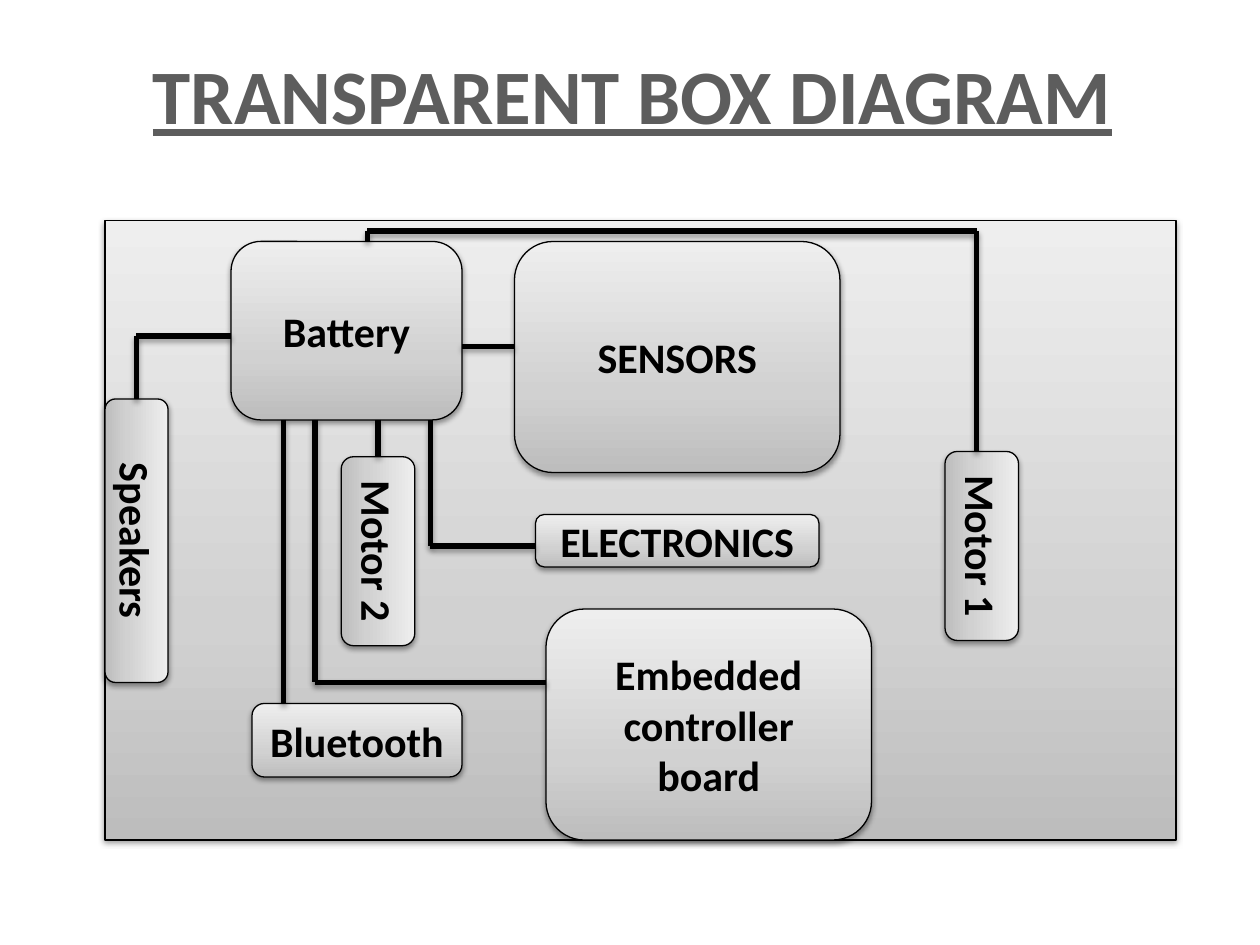
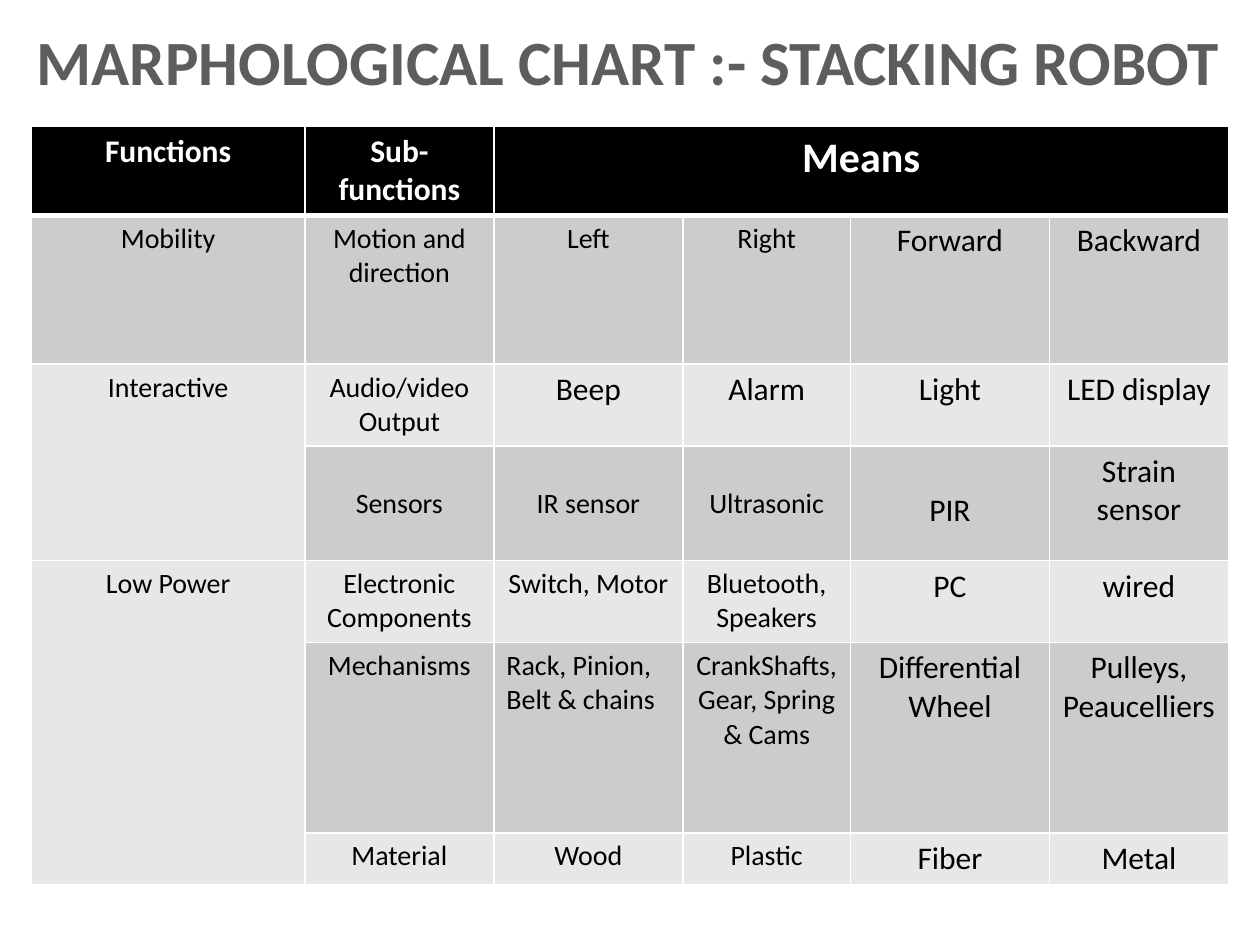
from pptx import Presentation
from pptx.dml.color import RGBColor
from pptx.enum.shapes import MSO_CONNECTOR, MSO_SHAPE
from pptx.enum.text import MSO_ANCHOR, PP_ALIGN
from pptx.oxml import parse_xml
from pptx.oxml.ns import nsdecls
from pptx.util import Cm, Pt

STRAIGHT = MSO_CONNECTOR.STRAIGHT
FRAME, ROUND = MSO_SHAPE.FLOWCHART_PROCESS, MSO_SHAPE.ROUNDED_RECTANGLE
MIDDLE, TOP = MSO_ANCHOR.MIDDLE, MSO_ANCHOR.TOP
CENTER, LEFT = PP_ALIGN.CENTER, PP_ALIGN.LEFT

INCH = 2.54
TICK = INCH / 12  # the diagram sits on a grid of twelfths of an inch
FONT = "Calibri"
HUES = {
    "title": "5D5D5D", "ink": "000000", "paper": "FFFFFF",
    "low": "BDBDBD", "mid": "D1D1D1", "high": "EEEEEE",
    "odd": "CCCCCC", "even": "E7E7E7",
}

# name: left, top, width, height, turn (ticks, before the turn)
PARTS = {
    "Motor 1": (84.5, 48.5, 18, 7, 90),
    "SENSORS": (49, 23, 31, 22, 0),
    "ELECTRONICS": (51, 49, 27, 5, 0),
    "Battery": (22, 23, 22, 17, 0),
    "Speakers": (-0.5, 48.5, 27, 6, 90),
    "Motor 2": (27, 49, 18, 7, 90),
    "Embedded controller board": (52, 58, 31, 22, 0),
    "Bluetooth": (24, 67, 20, 7, 0),
}

# corner points of each wire, from the battery to its part
WIRES = [
    [(41, 40), (41, 52), (51, 52)],
    [(22, 32), (13, 32), (13, 38)],
    [(36, 40), (36, 43.5)],
    [(27, 40), (27, 67)],
    [(44, 33), (49, 33)],
    [(30, 40), (30, 65), (52, 65)],
    [(35, 23), (35, 22), (93, 22), (93, 43)],
]

COLS = [2.17, 1.5, 1.5, 1.33, 1.58, 1.42]
ROWS = [0.7, 1.18, 0.65, 0.91, 0.65, 1.51, 0.41]
CHART = [
    ["Functions", "Sub-functions", "Means", "", "", ""],
    ["Mobility", "Motion and direction", "Left", "Right", "Forward", "Backward"],
    ["Interactive", "Audio/video Output", "Beep", "Alarm", "Light", "LED display"],
    ["", "Sensors", "IR sensor", "Ultrasonic", "PIR", "Strain sensor"],
    ["Low Power", "Electronic Components", "Switch, Motor",
     "Bluetooth, Speakers", "PC", "wired"],
    ["", "Mechanisms", "Rack, Pinion, Belt & chains",
     "CrankShafts, Gear, Spring & Cams", "Differential Wheel",
     "Pulleys, Peaucelliers"],
    ["", "Material", "Wood", "Plastic", "Fiber", "Metal"],
]
SPANS = [((0, 2), (0, 5)), ((2, 0), (3, 0)), ((4, 0), (6, 0))]
LARGE = {"Beep", "Alarm"}
LOWER = {"Sensors": 0.32, "IR sensor": 0.32, "Ultrasonic": 0.32, "PIR": 0.36}


def hue(name):
    return RGBColor.from_string(HUES[name])


def text(frame, words, size=24, color="ink", bold=False, under=False,
         align=CENTER, anchor=MIDDLE, wrap=True):
    frame.word_wrap = wrap
    frame.vertical_anchor = anchor
    para = frame.paragraphs[0]
    para.alignment = align
    run = para.add_run()
    run.text = words
    font = run.font
    font.name, font.size = FONT, Pt(size)
    font.bold, font.underline = bold, under
    font.color.rgb = hue(color)


def shade(item, alpha, dist):
    """Add a soft shadow that falls straight down."""
    item._element.spPr.append(parse_xml(
        f'<a:effectLst {nsdecls("a")}><a:outerShdw blurRad="{Pt(3.1)}" '
        f'dist="{Pt(dist)}" dir="5400000" rotWithShape="0">'
        f'<a:srgbClr val="{HUES["ink"]}"><a:alpha val="{alpha}000"/>'
        '</a:srgbClr></a:outerShdw></a:effectLst>'))


def blend(shape):
    """Fill with greys that get lighter from bottom to top."""
    stops = "".join(
        f'<a:gs pos="{pos}000"><a:srgbClr val="{HUES[name]}"/></a:gs>'
        for pos, name in [(0, "low"), (35, "mid"), (100, "high")])
    shape._element.spPr.prstGeom.addnext(parse_xml(
        f'<a:gradFill {nsdecls("a")} rotWithShape="1"><a:gsLst>{stops}'
        '</a:gsLst><a:lin ang="16200000" scaled="0"/></a:gradFill>'))


def rule(cell, sides):
    """Draw white cell borders; sides maps L, R, T, B to a width."""
    props = cell._tc.get_or_add_tcPr()
    for spot, (side, width) in enumerate(sides.items()):
        props.insert(spot, parse_xml(
            f'<a:ln{side} {nsdecls("a")} w="{Pt(width)}"><a:solidFill>'
            f'<a:srgbClr val="{HUES["paper"]}"/></a:solidFill></a:ln{side}>'))


class Deck:
    def __init__(self):
        self.file = Presentation()
        self.file.slide_width = Cm(10 * INCH)
        self.file.slide_height = Cm(7.5 * INCH)

    def page(self):
        self.slide = self.file.slides.add_slide(self.file.slide_layouts[6])

    def title(self, words, place, **style):
        box = self.slide.shapes.add_textbox(*(Cm(v * INCH) for v in place))
        text(box.text_frame, words, color="title", bold=True, anchor=TOP,
             wrap=False, **style)

    def block(self, kind, place, words="", turn=0):
        shape = self.slide.shapes.add_shape(
            kind, *(Cm(v * TICK) for v in place))
        shape.rotation = turn
        blend(shape)
        shape.line.color.rgb = hue("ink")
        shape.line.width = Pt(0.75)
        shade(shape, 38, 1.6)
        if words:
            text(shape.text_frame, words, bold=True)

    def wire(self, points):
        for start, end in zip(points, points[1:]):
            line = self.slide.shapes.add_connector(
                STRAIGHT, *(Cm(v * TICK) for v in start + end))
            line.line.color.rgb = hue("ink")
            line.line.width = Pt(3)
            shade(line, 35, 1.8)

    def table(self, left, top):
        grid = self.slide.shapes.add_table(
            len(ROWS), len(COLS), Cm(left * INCH), Cm(top * INCH),
            Cm(sum(COLS) * INCH), Cm(sum(ROWS) * INCH)).table
        for col, width in zip(grid.columns, COLS):
            col.width = Cm(width * INCH)
        for row, height in zip(grid.rows, ROWS):
            row.height = Cm(height * INCH)
        for first, last in SPANS:
            grid.cell(*first).merge(grid.cell(*last))
        for r, line in enumerate(CHART):
            for c, words in enumerate(line):
                self.cell(grid.cell(r, c), r, c, words)

    def cell(self, cell, r, c, words):
        head = r == 0
        cell.fill.solid()
        cell.fill.fore_color.rgb = hue(
            "ink" if head else "odd" if r % 2 else "even")
        rule(cell, {"L": 1, "R": 1, "T": 3 if r == 1 else 1,
                    "B": 3 if head else 1})
        if not words:
            return
        if words in LOWER:
            cell.margin_top = Cm(LOWER[words] * INCH)
        if head:
            size = 24 if words == "Means" else 18
        else:
            size = 18 if c > 3 or words in LARGE else 16
        cell.vertical_anchor = TOP
        text(cell.text_frame, words, size=size, bold=head, anchor=None,
             color="paper" if head else "ink",
             align=LEFT if words.startswith("Rack") else CENTER)


def main():
    deck = Deck()
    deck.page()
    deck.title("TRANSPARENT BOX DIAGRAM", (1.08, 0.33, 7.88, 0.84),
               size=44, under=True)
    deck.block(FRAME, (10, 21, 102, 59))
    for words, (*place, turn) in PARTS.items():
        deck.block(ROUND, place, words, turn)
    for points in WIRES:
        deck.wire(points)

    deck.page()
    deck.table(0.25, 1)
    deck.title("MARPHOLOGICAL CHART :- STACKING ROBOT",
               (0.14, 0.13, 9.69, 0.71), size=36)
    deck.file.save("out.pptx")


if __name__ == "__main__":
    main()
